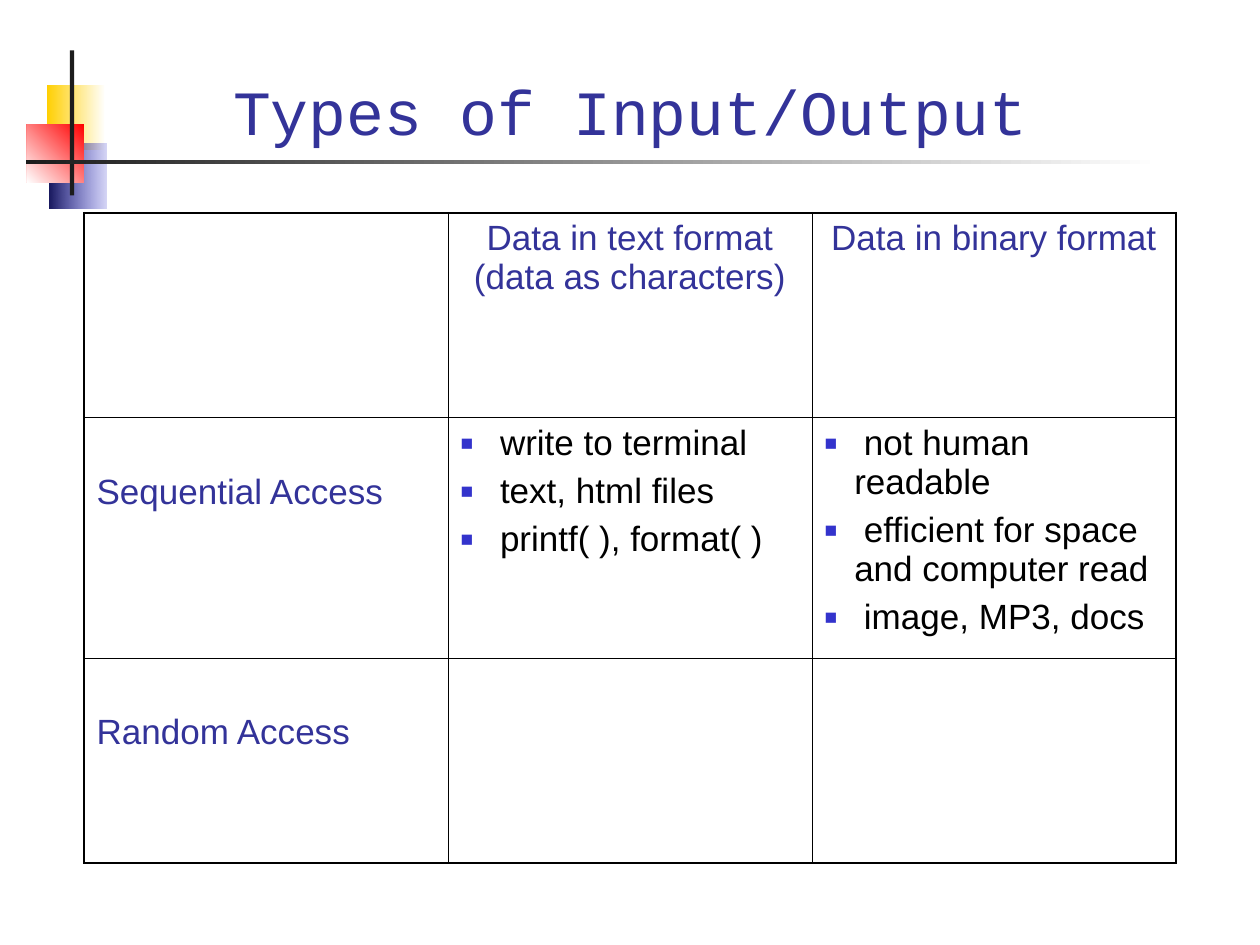
from lxml import etree
from pptx import Presentation
from pptx import util as u
from pptx.dml import color
from pptx.enum import shapes, text
from pptx.oxml import ns

Pt = u.Pt
NAVY, INK, BLACK = "333399", "1C1C1C", "000000"
HEAD = {"size": Pt(20), "name": "Arial", "color": NAVY}
BODY = {**HEAD, "color": BLACK}
TITLE = {"size": Pt(36), "name": "Courier New", "color": NAVY}

# Left, top, width, height, colours from start to end, angle, start opacity
DECOR = [
    (26.8, 48.4, 33.5, 37.2, ("FFFFFF", "FFCF01"), 180, 100),
    (28.1, 82, 32.6, 37.4, ("3333CC", "17175E"), 180, 20),
    (15.4, 71, 32.6, 33.4, ("FF0000", "FFFFFF"), 225, 100),
    (40, 28.8, 2.4, 82.8, (INK,), 0, 100),
    (15, 91.3, 648, 2.2, ("FFFFFF", INK), 180, 100),
]

# Each cell: style and its paragraphs
ROWS = [
    [("head", []),
     ("head", ["Data in text format (data as characters)"]),
     ("head", ["Data in binary format"])],
    [("side", ["Sequential Access"]),
     ("list", [" write to terminal", " text, html files",
               " printf( ), format( )"]),
     ("list", [" not human readable",
               " efficient for space and computer read",
               " image, MP3, docs"])],
    [("side", ["Random Access"]), ("list", []), ("list", [])],
]
LEFT, TOP, WIDE, HIGH = 48, 121.6, 624, 351.4
THICK, THIN = 1.08, 0.45


def rgb(code):
    return color.RGBColor.from_string(code)


def add(node, tag, **attrs):
    return etree.SubElement(node, ns.qn(tag), attrs)


def style(font, fmt):
    for key, val in fmt.items():
        if key == "color":
            font.color.rgb = rgb(val)
        else:
            setattr(font, key, val)


def block(slide, x, y, w, h, tones, angle, alpha):
    box = slide.shapes.add_shape(
        shapes.MSO_SHAPE.RECTANGLE, Pt(x), Pt(y), Pt(w), Pt(h))
    box.shadow.inherit = False
    box.line.fill.background()
    if len(tones) == 1:
        box.fill.solid()
        box.fill.fore_color.rgb = rgb(tones[0])
        return
    box.fill.gradient()
    box.fill.gradient_angle = angle
    for stop, tone in zip(box.fill.gradient_stops, tones):
        stop.color.rgb = rgb(tone)
    if alpha < 100:
        first = next(box.element.iter(ns.qn("a:srgbClr")))
        add(first, "a:alpha", val=str(alpha * 1000))


def bullet(para):
    props = para._p.get_or_add_pPr()
    props.set("marL", str(Pt(17)))
    props.set("indent", str(-Pt(17)))
    add(add(props, "a:buClr"), "a:srgbClr", val="3333CC")
    add(props, "a:buSzPct", val="60000")
    add(props, "a:buFont", typeface="Arial")
    add(props, "a:buChar", char="■")


def border(cell, row, col):
    last = len(ROWS) - 1
    outer = {"L": col == 0, "R": col == last, "T": row == 0, "B": row == last}
    props = cell._tc.get_or_add_tcPr()
    for place, (side, edge) in enumerate(outer.items()):
        line = etree.Element(ns.qn("a:ln" + side),
                             w=str(Pt(THICK if edge else THIN)))
        add(add(line, "a:solidFill"), "a:srgbClr", val=BLACK)
        props.insert(place, line)


def write(cell, kind, lines):
    frame = cell.text_frame
    if kind == "side":
        cell.margin_top = Pt(31.6)
    for i, words in enumerate(lines):
        para = frame.paragraphs[0] if i == 0 else frame.add_paragraph()
        if i:
            para.space_before = Pt(5)
        if kind == "list":
            bullet(para)
        if kind == "head":
            para.alignment = text.PP_ALIGN.CENTER
        run = para.add_run()
        run.text = words
        style(run.font, BODY if kind == "list" else HEAD)


def main():
    prs = Presentation()
    prs.slide_width, prs.slide_height = Pt(720), Pt(540)
    slide = prs.slides.add_slide(prs.slide_layouts[6])

    # Corner blocks and rules
    for part in DECOR:
        block(slide, *part)

    # Title
    frame = slide.shapes.add_textbox(
        Pt(LEFT), Pt(19.8), Pt(WIDE), Pt(68.4)).text_frame
    frame.word_wrap = True
    frame.vertical_anchor = text.MSO_ANCHOR.BOTTOM
    para = frame.paragraphs[0]
    para.alignment = text.PP_ALIGN.CENTER
    run = para.add_run()
    run.text = "Types of Input/Output"
    style(run.font, TITLE)

    # Table
    table = slide.shapes.add_table(
        len(ROWS), len(ROWS[0]), Pt(LEFT), Pt(TOP), Pt(WIDE), Pt(HIGH)).table
    table.first_row = table.horz_banding = False
    for r, row in enumerate(ROWS):
        for c, (kind, lines) in enumerate(row):
            cell = table.cell(r, c)
            cell.fill.background()
            write(cell, kind, lines)
            border(cell, r, c)

    prs.save("out.pptx")


if __name__ == "__main__":
    main()
